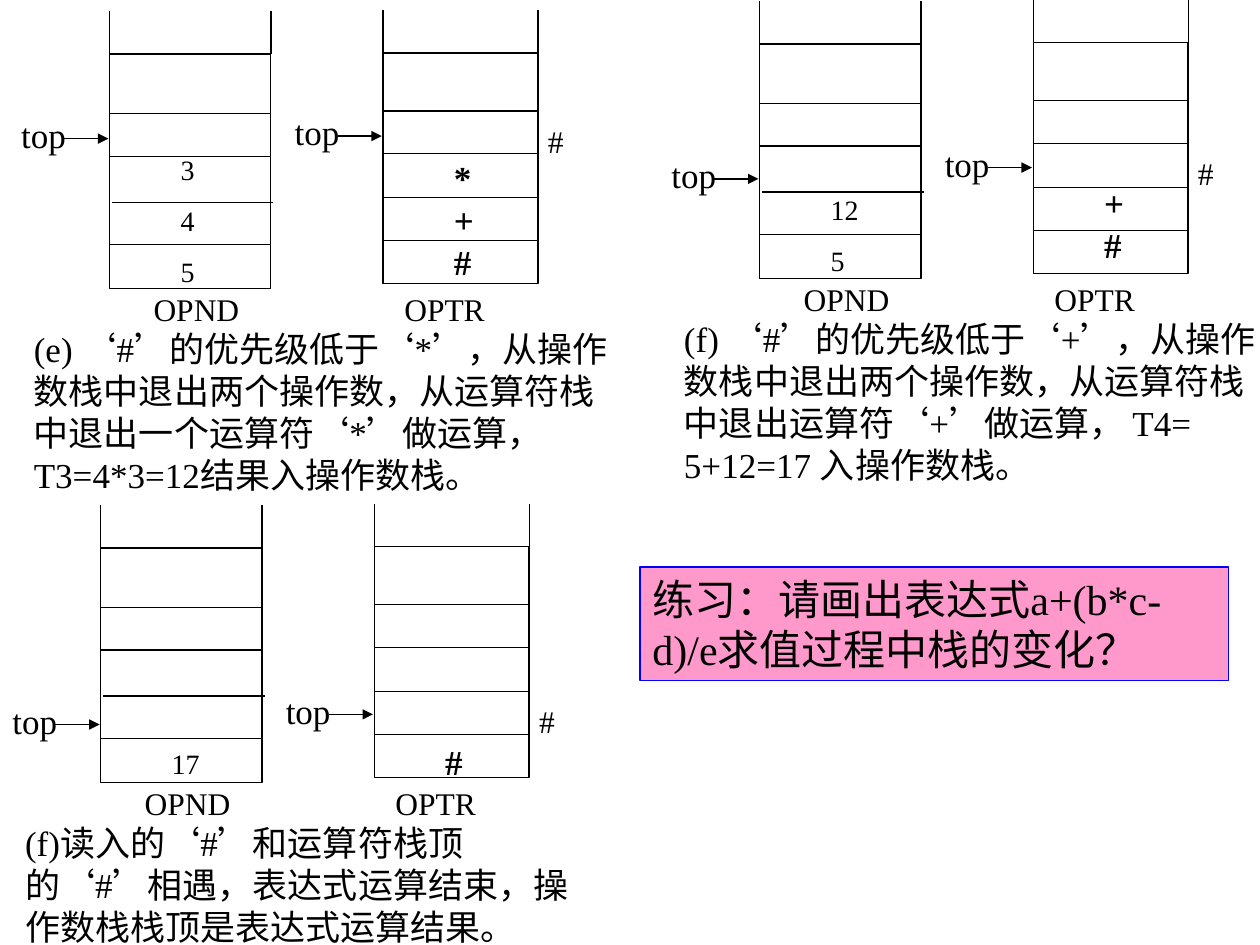
"""Build a slide of operand and operator stacks evaluating an expression."""
from dataclasses import dataclass

from lxml import etree
from pptx import Presentation, util as u
from pptx.dml import color
from pptx.enum import lang, shapes, text
from pptx.oxml import ns


@dataclass(frozen=True)
class Theme:
    """Colours, type sizes and the font of the slide."""
    ink: str = "000000"
    paper: str = "FFFFFF"
    accent: str = "FF99CC"
    accent_edge: str = "0000FF"
    font: str = "Times New Roman"
    value: int = 16
    label: int = 18
    body: int = 20
    exercise: int = 24
    stroke: float = 0.75


@dataclass(frozen=True)
class Stack:
    """Contents of one stack with the rows of its pointer and first value."""
    values: tuple
    pointer: float
    first: float


@dataclass(frozen=True)
class Step:
    """One evaluation step, placed by the corner of its operand stack."""
    column: float
    row: float
    operands: Stack
    operators: Stack
    incoming: float
    caption: str


class StackSlide:
    """Draw on a grid of 100 columns by 75 rows."""

    columns, rows = 100, 75

    def __init__(self, presentation, theme):
        """Add a blank slide and keep its style."""
        self.theme = theme
        self.column = presentation.slide_width / self.columns
        self.row = presentation.slide_height / self.rows
        self.slide = presentation.slides.add_slide(presentation.slide_layouts[6])
        self.canvas = self.slide.shapes

    def place(self, *lengths):
        """Turn alternating columns and rows into slide lengths."""
        units = (self.column, self.row) * 2
        return [u.Emu(round(length * unit)) for length, unit in zip(lengths, units)]

    def line(self, x1, y1, x2, y2, arrow=False):
        """Draw a straight line, with an arrowhead at its end on request."""
        connector = self.canvas.add_connector(
            shapes.MSO_CONNECTOR.STRAIGHT, *self.place(x1, y1, x2, y2))
        connector.line.width = u.Pt(self.theme.stroke)
        connector.line.color.rgb = color.RGBColor.from_string(self.theme.ink)
        if arrow:
            outline = connector._element.spPr.find(ns.qn("a:ln"))
            etree.SubElement(outline, ns.qn("a:tailEnd"), type="triangle")
        etree.SubElement(connector._element.spPr, ns.qn("a:effectLst"))

    def box(self, x, y, width, height, fill, edge):
        """Draw a filled rectangle and return it."""
        shape = self.canvas.add_shape(
            shapes.MSO_SHAPE.RECTANGLE, *self.place(x, y, width, height))
        shape.shadow.inherit = False
        shape.fill.solid()
        shape.fill.fore_color.rgb = color.RGBColor.from_string(fill)
        shape.line.color.rgb = color.RGBColor.from_string(edge)
        shape.line.width = u.Pt(self.theme.stroke)
        return shape

    def fill_text(self, shape, lines, gap=0, tabs=()):
        """Fill a shape with (wording, size, bold) lines; tabs serve the first."""
        frame = shape.text_frame
        frame.word_wrap = True
        frame.vertical_anchor = text.MSO_ANCHOR.TOP
        for index, (wording, size, bold) in enumerate(lines):
            paragraph = frame.add_paragraph() if index else frame.paragraphs[0]
            if tabs and not index:
                stops = etree.SubElement(paragraph._p.get_or_add_pPr(), ns.qn("a:tabLst"))
                for stop in tabs:
                    etree.SubElement(stops, ns.qn("a:tab"), pos=str(round(stop * self.column)), algn="l")
            paragraph.alignment = text.PP_ALIGN.LEFT
            if index and gap:
                paragraph.space_before = u.Pt(gap)
            run = paragraph.add_run()
            run.text = wording
            run.font.name = self.theme.font
            run.font.size = u.Pt(size)
            run.font.bold = bold
            run.font.color.rgb = color.RGBColor.from_string(self.theme.ink)
            run.font.language_id = lang.MSO_LANGUAGE_ID.SIMPLIFIED_CHINESE

    def text(self, x, y, width, height, lines, **layout):
        """Add a text box."""
        self.fill_text(self.canvas.add_textbox(*self.place(x, y, width, height)), lines, **layout)

    def stack(self, x, y, width, height, dividers, pointer):
        """Draw an open stack with its cells and its top pointer."""
        self.box(x, y, width, height, self.theme.paper, self.theme.ink)
        for side in (x, x + width):
            self.line(side, y, side, y - 3.4)
        for shift, depth in dividers:
            self.line(x + shift, y + depth, x + width + shift, y + depth)
        self.line(x - 3.6, y + pointer, x - 0.1, y + pointer, arrow=True)
        self.text(x - 8, y + pointer - 2.5, 6.7, 3.3, [("top", self.theme.body, False)])

    def step(self, step):
        """Draw both stacks of a step, the incoming symbol and the caption."""
        theme, x, y = self.theme, step.column, step.row
        operands, operators = step.operands, step.operators
        self.canvas = self.slide.shapes.add_group_shape().shapes
        self.stack(x, y, 12.8, 18.6, [(0, 4.7), (0, 8.1), (0.2, 11.75), (0, 15.1)],
                   operands.pointer)
        self.stack(x + 21.7, y - 0.1, 12.3, 18.3, [(0, 4.6), (0, 8), (0, 11.5), (0, 14.9)],
                   operators.pointer)
        self.text(x + 4.65, y + operands.first, 5, 4 * len(operands.values) - 0.3,
                  [(value, theme.value, False) for value in operands.values], gap=10)
        self.text(x + 26.35, y + operators.first, 3.3, 3.2 * len(operators.values) + 1,
                  [(value, theme.body, True) for value in operators.values])
        self.text(x + 33.8, y + step.incoming, 3.3, 4, [("#", theme.label, False)])
        self.text(x - 7, y + 18.2, 47.5, 7.5,
                  [("\tOPND\tOPTR", theme.label, False), (step.caption, theme.body, False)],
                  tabs=(9.5, 29.4))
        self.canvas = self.slide.shapes

    def exercise(self, x, y, width, height, wording):
        """Add the highlighted exercise."""
        shape = self.box(x, y, width, height, self.theme.accent, self.theme.accent_edge)
        self.fill_text(shape, [(wording, self.theme.exercise, False)])


STEPS = (
    Step(8.7, 4.3, Stack(("3", "4", "5"), 6.7, 7.3), Stack(("*", "+", "#"), 6.6, 7.6), 4.9,
         "(e) ‘#’的优先级低于‘*’，从操作数栈中退出两个操作数，"
         "从运算符栈中退出一个运算符‘*’做运算， T3=4*3=12结果入操作数栈。"),
    Step(60.3, 3.5, Stack(("12", "5"), 10.7, 11.3), Stack(("+", "#"), 9.9, 10.4), 8.2,
         "(f) ‘#’的优先级低于‘+’，从操作数栈中退出两个操作数，"
         "从运算符栈中退出运算符‘+’做运算， T4= 5+12=17 入操作数栈。"),
    Step(8, 43.5, Stack(("17",), 14, 15.3), Stack(("#",), 13.3, 14.8), 11.7,
         "(f)读入的‘#’和运算符栈顶的‘#’相遇，表达式运算结束，"
         "操作数栈栈顶是表达式运算结果。"),
)


def main():
    """Build and save the slide."""
    presentation = Presentation()
    presentation.slide_width, presentation.slide_height = u.Inches(10), u.Inches(7.5)
    slide = StackSlide(presentation, Theme())
    for step in STEPS:
        slide.step(step)
    slide.exercise(50.8, 45, 46.7, 9, "练习：请画出表达式a+(b*c-d)/e求值过程中栈的变化？")
    presentation.save("out.pptx")


if __name__ == "__main__":
    main()
